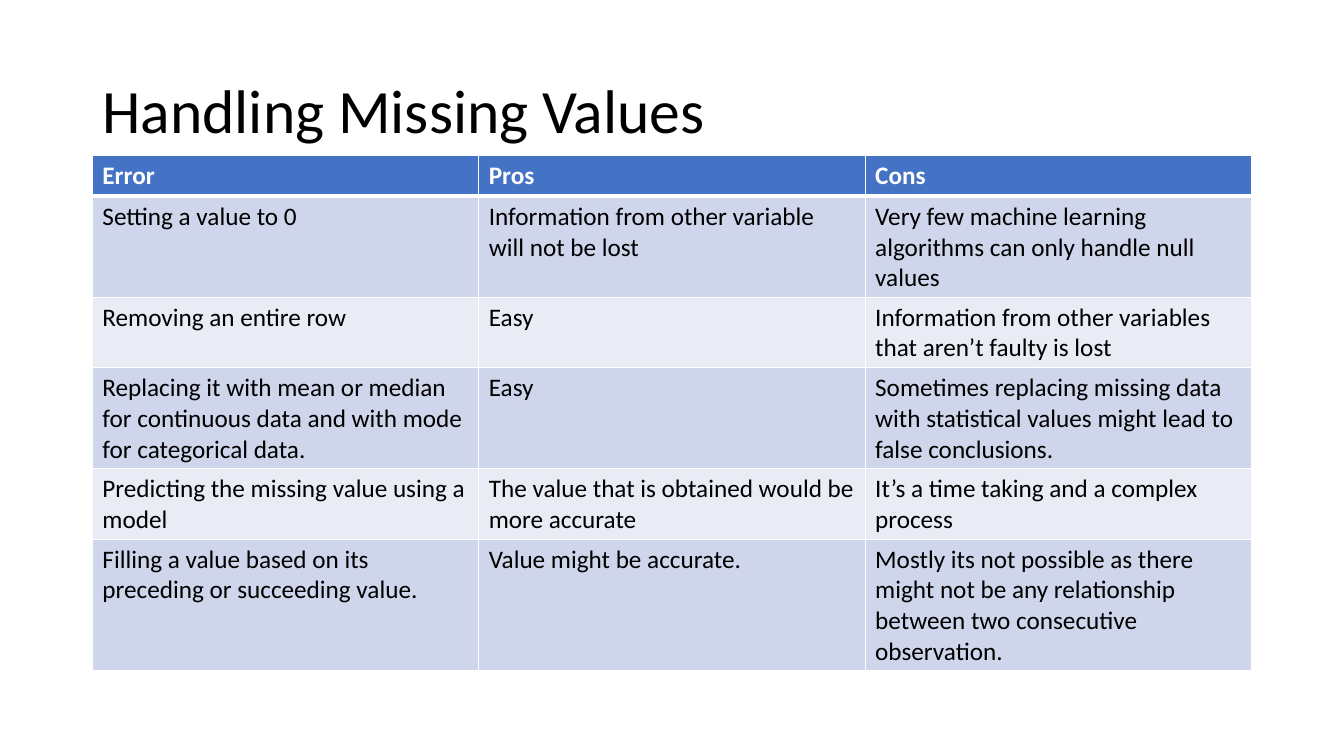
from dataclasses import dataclass

from lxml.etree import SubElement
from pptx import Presentation
from pptx.dml.color import RGBColor as Rgb
from pptx.enum.text import MSO_ANCHOR as Anchor
from pptx.oxml.ns import qn
from pptx.slide import Slide
from pptx.table import _Cell as Cell
from pptx.text.text import TextFrame as Frame
from pptx.util import Pt

FONT = "Calibri"
HUES = {
    "head": "4472C4",
    "odd": "CFD5EA",
    "even": "E9EBF5",
    "white": "FFFFFF",
    "black": "000000",
}
LEFT, WIDTH = 66, 828
ROW = 29.2
THIN, THICK = 1, 3


@dataclass
class Entry:
    error: str
    pros: str
    cons: str


@dataclass
class Style:
    fill: str
    ink: str
    bold: bool
    top: float
    bottom: float


ENTRIES = [
    Entry("Error", "Pros", "Cons"),
    Entry("Setting a value to 0",
          "Information from other variable will not be lost",
          "Very few machine learning algorithms can only handle null values"),
    Entry("Removing an entire row",
          "Easy",
          "Information from other variables that aren’t faulty is lost"),
    Entry("Replacing it with mean or median for continuous data "
          "and with mode for categorical data.",
          "Easy",
          "Sometimes replacing missing data with statistical values "
          "might lead to false conclusions."),
    Entry("Predicting the missing value using a model",
          "The value that is obtained would be more accurate",
          "It’s a time taking and a complex process"),
    Entry("Filling a value based on its preceding or succeeding value.",
          "Value might be accurate.",
          "Mostly its not possible as there might not be any relationship "
          "between two consecutive observation."),
]


def write(frame: Frame, text: str, size: float, ink: str, bold: bool = False) -> None:
    frame.text = text
    font = frame.paragraphs[0].runs[0].font
    font.name, font.size, font.bold = FONT, Pt(size), bold
    font.color.rgb = Rgb.from_string(HUES[ink])


def edge(cell: Cell, side: str, width: float) -> None:
    """Draw one white cell border; side is L, R, T or B."""
    props = cell._tc.get_or_add_tcPr()
    line = SubElement(props, qn(f"a:ln{side}"), w=str(Pt(width)))
    fill = SubElement(line, qn("a:solidFill"))
    SubElement(fill, qn("a:srgbClr"), val=HUES["white"])


def style(row: int) -> Style:
    if row == 0:
        return Style("head", "white", True, THIN, THICK)
    fill = "odd" if row % 2 else "even"
    return Style(fill, "black", False, THICK if row == 1 else THIN, THIN)


def paint(cell: Cell, text: str, look: Style) -> None:
    write(cell.text_frame, text, 18, look.ink, look.bold)
    sides = {"L": THIN, "R": THIN, "T": look.top, "B": look.bottom}
    for side, width in sides.items():
        edge(cell, side, width)
    cell.fill.solid()
    cell.fill.fore_color.rgb = Rgb.from_string(HUES[look.fill])


def add_title(slide: Slide, text: str) -> None:
    box = slide.shapes.add_textbox(Pt(LEFT), Pt(28.75), Pt(WIDTH), Pt(104.4))
    frame = box.text_frame
    frame.word_wrap = True
    frame.vertical_anchor = Anchor.MIDDLE
    write(frame, text, 44, "black")
    frame.paragraphs[0].line_spacing = 0.9


def add_grid(slide: Slide, entries: list[Entry]) -> None:
    count = len(entries)
    grid = slide.shapes.add_table(
        count, 3, Pt(LEFT), Pt(111), Pt(WIDTH), Pt(ROW * count)).table
    for row, entry in enumerate(entries):
        for col, text in enumerate((entry.error, entry.pros, entry.cons)):
            paint(grid.cell(row, col), text, style(row))


def main() -> None:
    deck = Presentation()
    deck.slide_width, deck.slide_height = Pt(960), Pt(540)
    slide = deck.slides.add_slide(deck.slide_layouts[6])
    add_title(slide, "Handling Missing Values")
    add_grid(slide, ENTRIES)
    deck.save("out.pptx")


if __name__ == "__main__":
    main()
